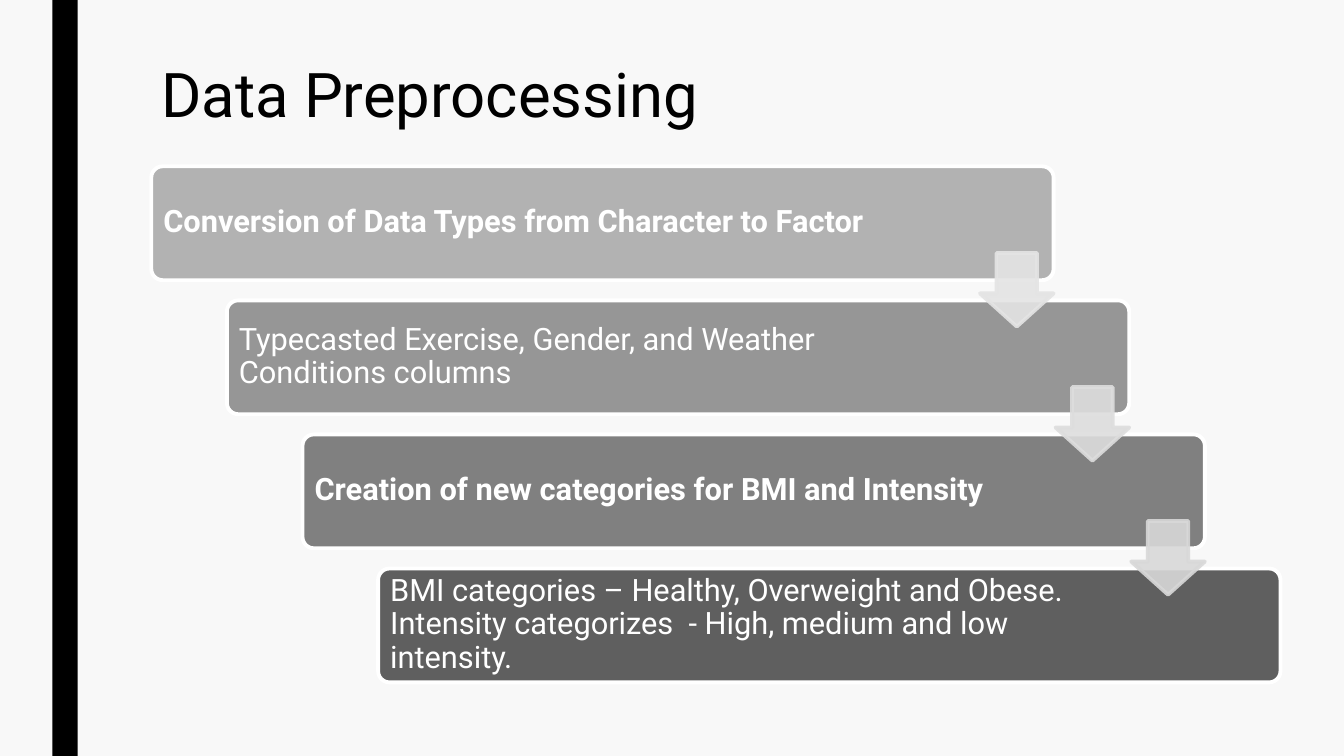
from lxml import etree
from pptx import Presentation
from pptx.dml.color import RGBColor
from pptx.enum.shapes import MSO_SHAPE
from pptx.enum.text import MSO_ANCHOR, PP_ALIGN
from pptx.oxml.ns import qn
from pptx.util import Inches, Pt

RECTANGLE = MSO_SHAPE.RECTANGLE
ROUNDED = MSO_SHAPE.ROUNDED_RECTANGLE
DOWN_ARROW = MSO_SHAPE.DOWN_ARROW
TOP, MIDDLE = MSO_ANCHOR.TOP, MSO_ANCHOR.MIDDLE
LEFT = PP_ALIGN.LEFT
TITLE_ONLY = 5

# Wording, bold, box colour, text width
STEPS = [
    ("Conversion of Data Types from Character to Factor", True, "B2B2B2", 7.64),
    ("Typecasted Exercise, Gender, and Weather Conditions columns", False, "969696", 7.4),
    ("Creation of new categories for BMI and Intensity", True, "808080", 7.42),
    ("BMI categories – Healthy, Overweight and Obese.  "
     "Intensity categorizes  - High, medium and low intensity.", False, "5F5F5F", 7.4),
]
ARROW_COLORS = ["E4E4E4", "DDDDDD", "D8D8D8"]
FIRST_LEFT, FIRST_TOP = 1.5, 1.65
STEP_RIGHT, STEP_DOWN = 0.75, 1.33
BOX_WIDTH, BOX_HEIGHT = 8.95, 1.13
TEXT_MARGIN, TEXT_HEIGHT = 0.03, 1.06
ARROW_SIZE, ARROW_DROP = 0.73, 0.86


def color(value):
    return RGBColor.from_string(value)


class SlideBuilder:
    font = "Roboto"
    line_width = 2.75

    def __init__(self, slide, background):
        self.slide = slide
        slide.background.fill.solid()
        slide.background.fill.fore_color.rgb = color(background)

    def fill_text(self, frame, text, size, text_color, bold, spacing, anchor, inset):
        """Fill a text frame with one left-aligned paragraph."""
        frame.word_wrap = True
        frame.vertical_anchor = anchor
        frame.margin_left = frame.margin_right = Inches(inset)
        paragraph = frame.paragraphs[0]
        paragraph.alignment = LEFT
        paragraph.line_spacing = spacing
        run = paragraph.add_run()
        run.text = text
        run.font.name = self.font
        run.font.size = Pt(size)
        run.font.bold = bold
        run.font.color.rgb = color(text_color)

    def title(self, text, left, top, width, height):
        shape = self.slide.shapes.title
        shape.left, shape.top = Inches(left), Inches(top)
        shape.width, shape.height = Inches(width), Inches(height)
        self.fill_text(shape.text_frame, text, 44, "000000", False, 0.89, TOP, 0.1)

    def text(self, text, left, top, width, height, bold):
        box = self.slide.shapes.add_textbox(
            Inches(left), Inches(top), Inches(width), Inches(height))
        frame = box.text_frame
        frame.margin_top = frame.margin_bottom = Inches(0.09)
        self.fill_text(frame, text, 22, "FFFFFF", bold, 0.9, MIDDLE, 0.09)

    def shape(self, kind, left, top, width, height, fill, line=None,
              adjustments=(), opacity=None):
        shape = self.slide.shapes.add_shape(
            kind, Inches(left), Inches(top), Inches(width), Inches(height))
        shape.shadow.inherit = False
        for index, adjustment in enumerate(adjustments):
            shape.adjustments[index] = adjustment
        shape.fill.solid()
        shape.fill.fore_color.rgb = color(fill)
        if line:
            shape.line.color.rgb = color(line)
            shape.line.width = Pt(self.line_width)
        else:
            shape.line.fill.background()
        if opacity:
            for element in shape._element.spPr.iter(qn("a:srgbClr")):
                alpha = etree.SubElement(element, qn("a:alpha"))
                alpha.set("val", str(opacity * 1000))


def main():
    presentation = Presentation()
    presentation.slide_width = Inches(13.33)
    presentation.slide_height = Inches(7.5)
    slide = presentation.slides.add_slide(presentation.slide_layouts[TITLE_ONLY])
    builder = SlideBuilder(slide, "F8F8F8")

    builder.shape(RECTANGLE, 0.52, 0, 0.25, 7.5, "000000")
    builder.title("Data Preprocessing", 1.5, 0.59, 10.5, 0.9)

    for index, (text, bold, fill, text_width) in enumerate(STEPS):
        left = FIRST_LEFT + index * STEP_RIGHT
        top = FIRST_TOP + index * STEP_DOWN
        builder.shape(ROUNDED, left, top, BOX_WIDTH, BOX_HEIGHT, fill, "FFFFFF", [0.1])
        builder.text(text, left + TEXT_MARGIN, top + TEXT_MARGIN,
                     text_width, TEXT_HEIGHT, bold)

    for index, fill in enumerate(ARROW_COLORS):
        right = FIRST_LEFT + index * STEP_RIGHT + BOX_WIDTH
        top = FIRST_TOP + index * STEP_DOWN + ARROW_DROP
        builder.shape(DOWN_ARROW, right - ARROW_SIZE, top, ARROW_SIZE, ARROW_SIZE,
                      fill, fill, [0.55, 0.45], opacity=90)

    presentation.save("out.pptx")


if __name__ == "__main__":
    main()
